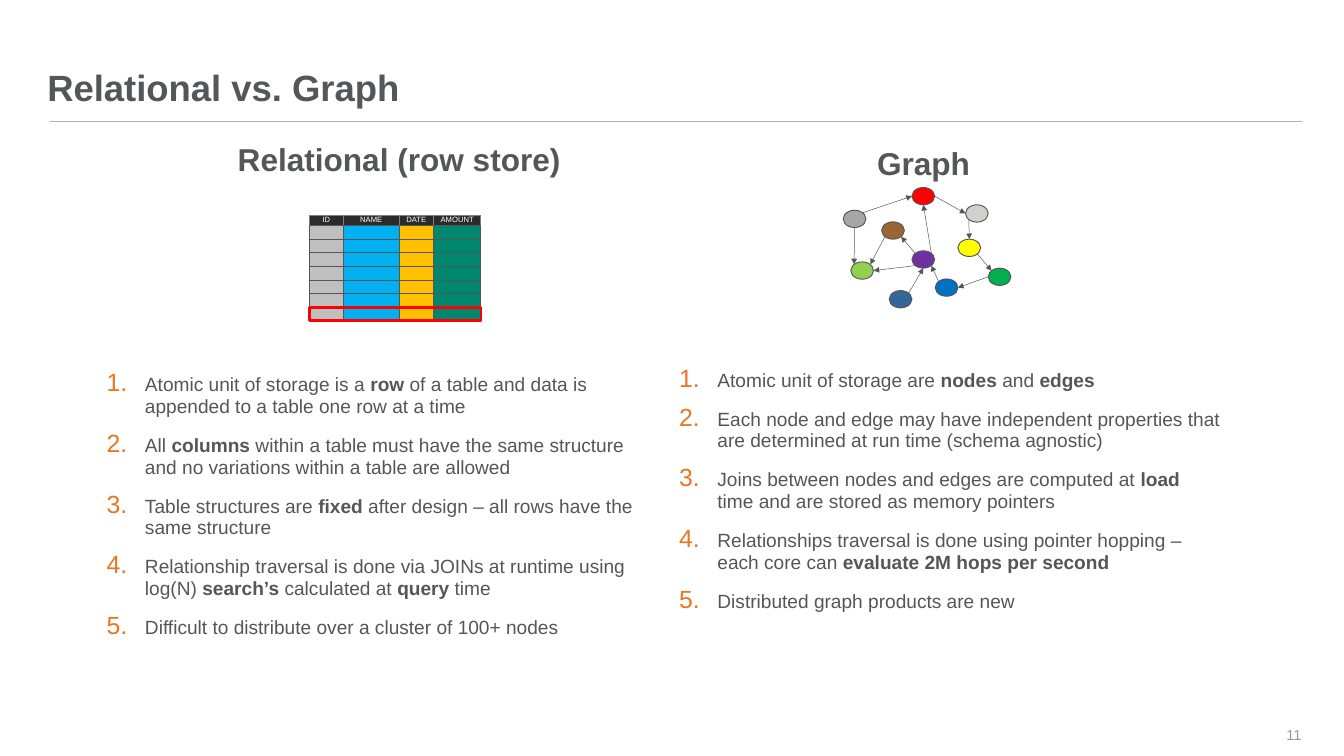
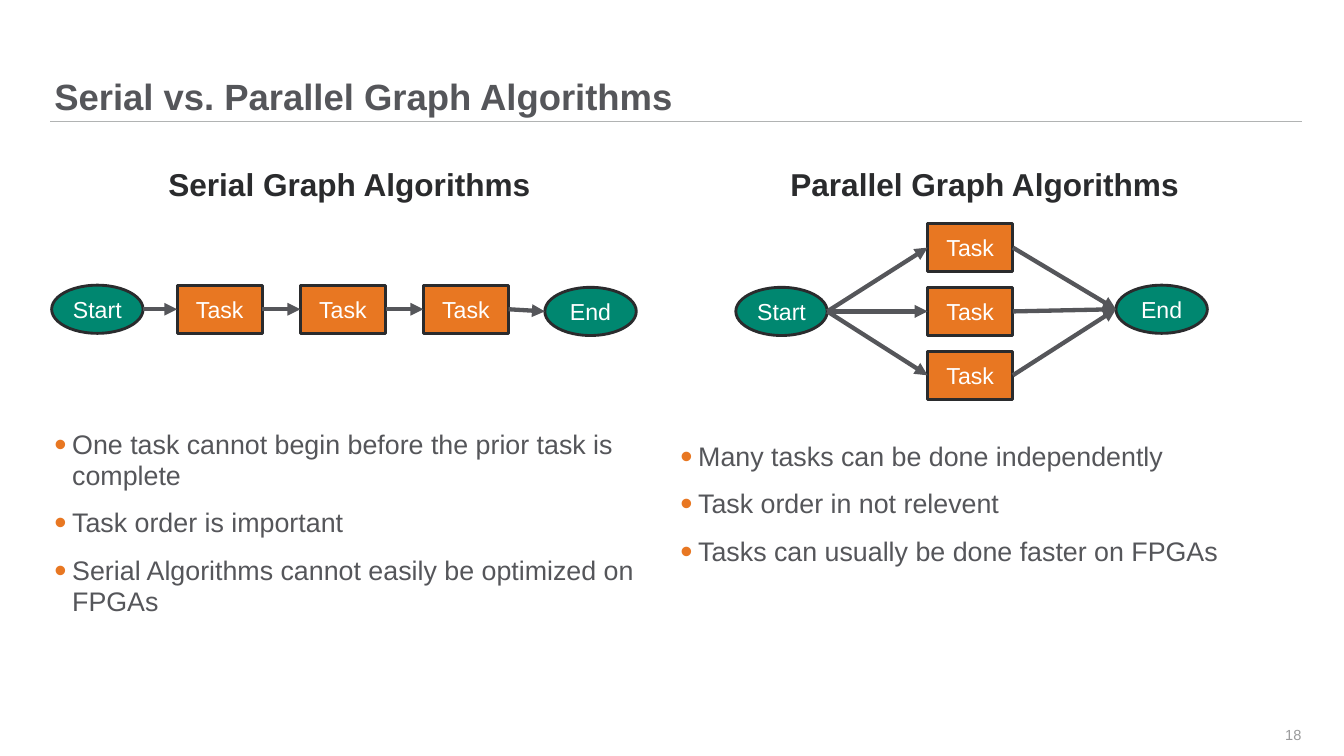
"""Build two slides comparing data stores and graph algorithms."""
import lxml.etree
import pptx
import pptx.dml.color
import pptx.enum.shapes
import pptx.enum.text
import pptx.oxml.ns
import pptx.util

Cm = pptx.util.Cm
Pt = pptx.util.Pt
qn = pptx.oxml.ns.qn
SHAPE = pptx.enum.shapes.MSO_SHAPE
ALIGN = pptx.enum.text.PP_ALIGN
ANCHOR = pptx.enum.text.MSO_ANCHOR

FONT = "Arial"
COLORS = {
    "text": "55565A", "dark": "2A2B2D", "white": "FFFFFF", "rule": "B1B3B3",
    "page": "999A9B", "orange": "E87722", "teal": "008770", "grid": "808080",
    "silver": "BFBFBF", "sky": "00B0F0", "amber": "FFC000", "red": "FF0000",
    "brown": "996633", "purple": "7030A0", "light": "D0D0CE",
    "yellow": "FFFF00", "lime": "92D050", "blue": "0070C0",
    "gray": "A6A6A6", "green": "00B050", "navy": "336699",
}
NO_INSETS = {"margin_left": 0, "margin_top": 0, "margin_right": 0, "margin_bottom": 0}
BODY_SPACING = {"line_spacing": 0.95, "space_before": Pt(10.2), "space_after": Pt(7.7)}
SITES = {
    "n": (0, -1), "ne": (0.71, -0.71), "e": (1, 0), "se": (0.71, 0.71),
    "s": (0, 1), "sw": (-0.71, 0.71), "w": (-1, 0), "nw": (-0.71, -0.71),
}
COLUMNS = [
    ("ID", 1.27, "silver"), ("NAME", 2.05, "sky"),
    ("DATE", 1.27, "amber"), ("AMOUNT", 1.76, "teal"),
]
NODES = {
    "red": (33.71, 6.93), "brown": (32.59, 8.2), "purple": (33.71, 9.27),
    "light": (35.69, 7.57), "yellow": (35.41, 8.84), "lime": (31.45, 9.68),
    "blue": (34.57, 10.31), "gray": (31.17, 7.77), "green": (36.53, 9.91),
    "navy": (32.87, 10.74),
}
EDGES = [
    ("gray", "ne", "red", "w"), ("red", "e", "light", "w"),
    ("light", "sw", "yellow", "n"), ("yellow", "se", "green", "nw"),
    ("green", "w", "blue", "e"), ("blue", "nw", "purple", "se"),
    ("purple", "nw", "brown", "se"), ("brown", "sw", "lime", "ne"),
    ("gray", "s", "lime", "nw"), ("purple", "ne", "red", "s"),
    ("purple", "sw", "lime", "e"), ("navy", "ne", "purple", "s"),
]
RELATIONAL = [
    "Atomic unit of storage is a **row** of a table and data is appended to a table one row at a time",
    "All **columns** within a table must have the same structure and no variations within a table are allowed",
    "Table structures are **fixed** after design – all rows have the same structure",
    "Relationship traversal is done via JOINs at runtime using log(N) **search’s** calculated at **query** time",
    "Difficult to distribute over a cluster of 100+ nodes",
]
GRAPH = [
    "Atomic unit of storage are **nodes** and **edges**",
    "Each node and edge may have independent properties that are determined at run time (schema agnostic)",
    "Joins between nodes and edges are computed at **load** time and are stored as memory pointers",
    "Relationships traversal is done using pointer hopping – each core can **evaluate 2M hops per second**",
    "Distributed graph products are new",
]
SERIAL = [
    "One task cannot begin before the prior task is complete",
    "Task order is important",
    "Serial Algorithms cannot easily be optimized on FPGAs",
]
PARALLEL = [
    "Many tasks can be done independently",
    "Task order in not relevent",
    "Tasks can usually be done faster on FPGAs",
]


def rgb(name):
    """Return the named colour."""
    return pptx.dml.color.RGBColor.from_string(COLORS[name])


def set_all(obj, values):
    """Set each attribute of obj that values names."""
    for name, value in values.items():
        setattr(obj, name, value)


def add_run(p, text, size, color, bold=False):
    """Add a run of styled text to a paragraph."""
    r = p.add_run()
    r.text = text
    set_all(r.font, {"name": FONT, "size": Pt(size), "bold": bold})
    r.font.color.rgb = rgb(color)


def add_box(s, box, anchor=ANCHOR.TOP):
    """Add a wrapping text box without insets and return its text frame."""
    tf = s.shapes.add_textbox(*map(Cm, box)).text_frame
    set_all(tf, {**NO_INSETS, "word_wrap": True, "vertical_anchor": anchor})
    return tf


def add_line(shapes, start, end, color, width, arrow=False):
    """Add a straight line between two points, with an optional arrowhead."""
    c = shapes.add_connector(pptx.enum.shapes.MSO_CONNECTOR.STRAIGHT, *start, *end)
    c.line.color.rgb = rgb(color)
    c.line.width = Pt(width)
    sp_pr = c._element.spPr
    if arrow:
        lxml.etree.SubElement(sp_pr.find(qn("a:ln")), qn("a:tailEnd"), type="triangle")
    lxml.etree.SubElement(sp_pr, qn("a:effectLst"))


def add_shape(shapes, kind, box, fill, line, width):
    """Add a flat preset shape, hollow when fill is None."""
    sp = shapes.add_shape(kind, *map(Cm, box))
    sp.shadow.inherit = False
    if fill:
        sp.fill.solid()
        sp.fill.fore_color.rgb = rgb(fill)
    else:
        sp.fill.background()
    sp.line.color.rgb = rgb(line)
    sp.line.width = Pt(width)
    return sp


def site(sp, name):
    """Return the point of a shape's outline at a compass direction."""
    dx, dy = SITES[name]
    return (int(sp.left + sp.width * (1 + dx) / 2),
            int(sp.top + sp.height * (1 + dy) / 2))


def add_slide(prs, title, box, page):
    """Add a slide with its title, rule and page number."""
    s = prs.slides.add_slide(prs.slide_layouts[6])
    add_line(s.shapes, (Cm(1.85), Cm(4.5)), (Cm(48.11), Cm(4.5)), "rule", 1)
    p = add_box(s, box, ANCHOR.BOTTOM).paragraphs[0]
    p.line_spacing = 0.9
    add_run(p, title, 38.2, "text", True)
    p = add_box(s, (45.9, 26.42, 2.21, 1.5), ANCHOR.MIDDLE).paragraphs[0]
    p.alignment = ALIGN.RIGHT
    add_run(p, page, 15.3, "page")
    return s


def add_heading(s, text, box, color):
    """Add a centred column heading."""
    p = add_box(s, box).paragraphs[0]
    set_all(p, {**BODY_SPACING, "alignment": ALIGN.CENTER})
    add_run(p, text, 33.1, color, True)


def add_bullet(p, indent, numbered):
    """Give a paragraph a hanging orange number or dot."""
    p_pr = p._p.get_or_add_pPr()
    p_pr.set("marL", str(Cm(indent)))
    p_pr.set("indent", str(-Cm(indent)))
    color = lxml.etree.SubElement(p_pr, qn("a:buClr"))
    lxml.etree.SubElement(color, qn("a:srgbClr"), val=COLORS["orange"])
    lxml.etree.SubElement(p_pr, qn("a:buSzPct"), val="130000")
    lxml.etree.SubElement(p_pr, qn("a:buFont"), typeface=FONT)
    if numbered:
        lxml.etree.SubElement(p_pr, qn("a:buAutoNum"), type="arabicPeriod")
    else:
        lxml.etree.SubElement(p_pr, qn("a:buChar"), char="•")


def add_list(s, items, box, size, indent, numbered=False):
    """Add a list whose **marked** words are bold."""
    tf = add_box(s, box)
    for i, item in enumerate(items):
        p = tf.add_paragraph() if i else tf.paragraphs[0]
        set_all(p, BODY_SPACING)
        add_bullet(p, indent, numbered)
        for j, part in enumerate(item.split("**")):
            if part:
                add_run(p, part, size, "text", j % 2 == 1)


def add_row_store(s):
    """Draw the small row store with its last row outlined."""
    left, top, row_h, rows = 11.43, 8.35, 0.5, 7
    x = left
    for name, width, fill in COLUMNS:
        head = add_shape(s.shapes, SHAPE.RECTANGLE, (x, 7.95, width, 0.4), "dark", "grid", 1)
        tf = head.text_frame
        set_all(tf, {**NO_INSETS, "word_wrap": False, "vertical_anchor": ANCHOR.TOP})
        tf.paragraphs[0].alignment = ALIGN.CENTER
        add_run(tf.paragraphs[0], name, 8, "white")
        for i in range(rows):
            cell = (x, top + i * row_h, width, row_h)
            add_shape(s.shapes, SHAPE.RECTANGLE, cell, fill, "text", 1)
        x += width
    last_row = (left, top + (rows - 1) * row_h, x - left, row_h)
    add_shape(s.shapes, SHAPE.RECTANGLE, last_row, None, "red", 3)


def add_network(s):
    """Draw the grouped network of coloured nodes and directed edges."""
    shapes = s.shapes.add_group_shape().shapes
    nodes = {name: add_shape(shapes, SHAPE.OVAL, (*at, 0.84, 0.64), name, "text", 1)
             for name, at in NODES.items()}
    for a, a_site, b, b_site in EDGES:
        add_line(shapes, site(nodes[a], a_site), site(nodes[b], b_site), "text", 0.5, True)


def add_step(s, text, x, y):
    """Add a task rectangle, or an oval for the start or end."""
    kind, width, fill = ((SHAPE.RECTANGLE, 3.15, "orange") if text == "Task"
                         else (SHAPE.OVAL, 3.38, "teal"))
    sp = add_shape(s.shapes, kind, (x, y, width, 1.78), fill, "dark", 3)
    tf = sp.text_frame
    set_all(tf, {"word_wrap": True, "vertical_anchor": ANCHOR.MIDDLE})
    tf.paragraphs[0].alignment = ALIGN.CENTER
    add_run(tf.paragraphs[0], text, 24.2, "white")
    return sp


def link_steps(s, a, b):
    """Draw an arrow from the right of one step to the left of the next."""
    add_line(s.shapes, site(a, "e"), site(b, "w"), "text", 4.5, True)


def add_serial_flow(s):
    """Draw three tasks in a chain."""
    steps = [add_step(s, "Start", 1.91, 10.54)]
    steps += [add_step(s, "Task", 6.55 + 4.55 * i, 10.54) for i in range(3)]
    steps.append(add_step(s, "End", 20.14, 10.62))
    for a, b in zip(steps, steps[1:]):
        link_steps(s, a, b)


def add_parallel_flow(s):
    """Draw three tasks side by side between start and end."""
    start = add_step(s, "Start", 27.2, 10.62)
    end = add_step(s, "End", 41.25, 10.54)
    for i in range(3):
        task = add_step(s, "Task", 34.29, 8.26 + 2.36 * i)
        link_steps(s, start, task)
        link_steps(s, task, end)


def main():
    """Build and save the presentation."""
    prs = pptx.Presentation()
    set_all(prs, {"slide_width": Cm(49.68), "slide_height": Cm(27.94)})

    s = add_slide(prs, "Relational vs. Graph", (1.75, 1.55, 40.08, 2.49), "11")
    add_list(s, RELATIONAL, (3.94, 13.84, 19.56, 11.07), 20, 1.42, True)
    add_list(s, GRAPH, (25.1, 13.67, 20.04, 11.07), 20, 1.42, True)
    add_heading(s, "Relational (row store)", (8.36, 5.28, 12.8, 1.27), "text")
    add_heading(s, "Graph", (24.16, 5.41, 19.96, 2.01), "text")
    add_row_store(s)
    add_network(s)

    s = add_slide(prs, "Serial vs. Parallel Graph Algorithms", (2.01, 0, 46.1, 4.37), "18")
    add_list(s, SERIAL, (2.01, 15.9, 22.5, 8.18), 28.1, 0.66)
    add_list(s, PARALLEL, (25.15, 16.33, 23.06, 7.75), 28.1, 0.66)
    add_heading(s, "Serial Graph Algorithms", (5.59, 6.2, 14.66, 2.01), "dark")
    add_heading(s, "Parallel Graph Algorithms", (24.92, 6.2, 22.96, 2.01), "dark")
    add_serial_flow(s)
    add_parallel_flow(s)

    prs.save("out.pptx")


if __name__ == "__main__":
    main()
